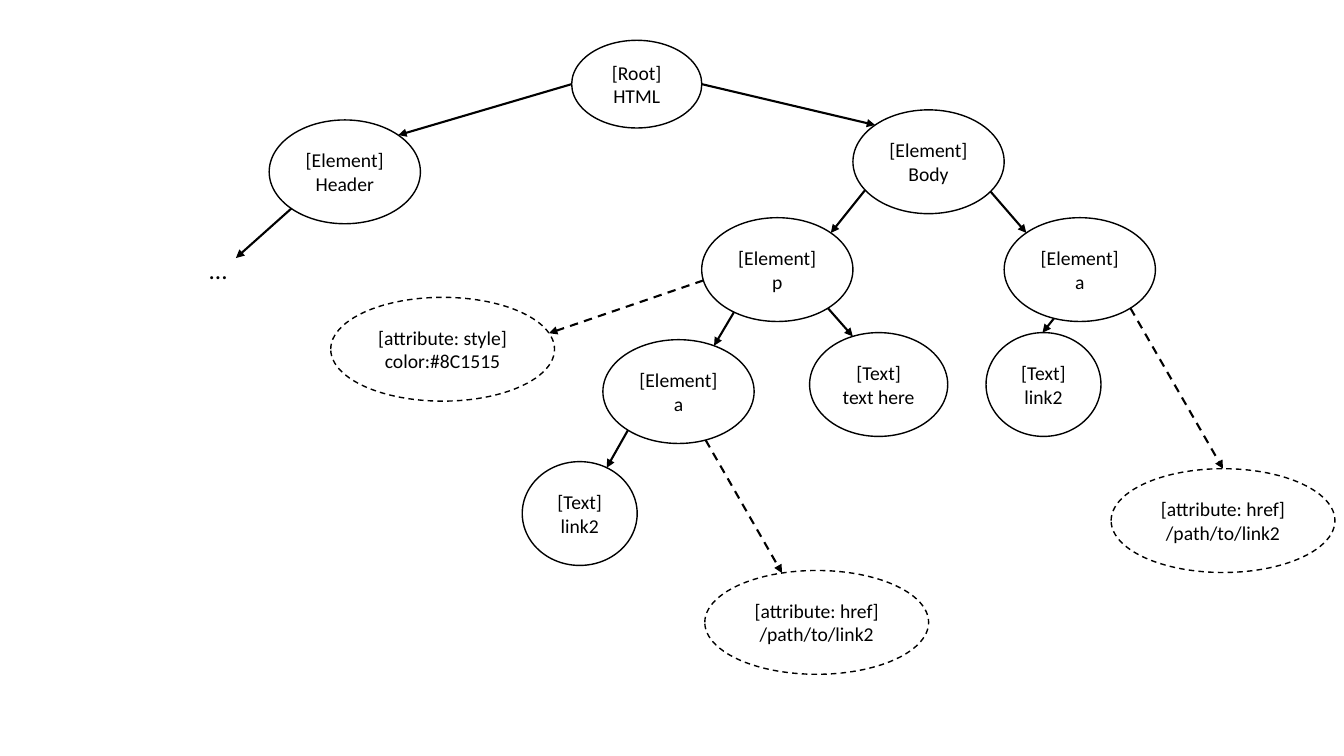
"""Draw the node tree of a small HTML document."""
from math import cos, radians, sin

from lxml import etree
from pptx import Presentation
from pptx import util as u
from pptx.dml.color import RGBColor
from pptx.enum import dml, shapes, text
from pptx.oxml import ns

COLUMNS, ROWS = 133.3, 75


def colour(code):
    return RGBColor.from_string(code)


class TreeSlide:
    ink, paper, font = "000000", "FFFFFF", "Calibri"

    def __init__(self, deck):
        self.slide = deck.slides.add_slide(deck.slide_layouts[6])
        self.column = deck.slide_width / COLUMNS
        self.row = deck.slide_height / ROWS

    def place(self, *cells):
        return [int(cell * (self.row if index % 2 else self.column))
                for index, cell in enumerate(cells)]

    def outline(self, line, points, dashed):
        line.color.rgb = colour(self.ink)
        line.width = u.Pt(points)
        if dashed:
            line.dash_style = dml.MSO_LINE.DASH

    def letter(self, frame, lines, size, align, **layout):
        for name, value in layout.items():
            setattr(frame, name, value)
        frame.text = "\n".join(lines)
        for paragraph in frame.paragraphs:
            paragraph.alignment = align
            for name, value in dict(size=u.Pt(size), name=self.font).items():
                setattr(paragraph.font, name, value)
            paragraph.font.color.rgb = colour(self.ink)

    def node(self, left, top, width, height, lines, dashed):
        oval = self.slide.shapes.add_shape(
            shapes.MSO_SHAPE.OVAL, *self.place(left, top, width, height))
        oval.shadow.inherit = False
        oval.fill.solid()
        oval.fill.fore_color.rgb = colour(self.paper)
        self.outline(oval.line, 1, dashed)
        self.letter(oval.text_frame, lines, 14, text.PP_ALIGN.CENTER,
                    word_wrap=True, vertical_anchor=text.MSO_ANCHOR.MIDDLE)

    def arrow(self, start, end, dashed=False):
        link = self.slide.shapes.add_connector(
            shapes.MSO_CONNECTOR.STRAIGHT, *self.place(*start, *end))
        self.outline(link.line, 1.5, dashed)
        properties = link.element.spPr
        etree.SubElement(properties.find(ns.qn("a:ln")), ns.qn("a:tailEnd"), type="triangle")
        etree.SubElement(properties, ns.qn("a:effectLst"))

    def label(self, left, top, width, height, words):
        box = self.slide.shapes.add_textbox(*self.place(left, top, width, height))
        self.letter(box.text_frame, [words], 18, text.PP_ALIGN.LEFT, word_wrap=False,
                    auto_size=text.MSO_AUTO_SIZE.SHAPE_TO_FIT_TEXT)


def rim(box, degrees):
    """Return the point of an oval's rim at an angle, clockwise from the right."""
    left, top, width, height = box
    angle = radians(degrees)
    return left + width / 2 * (1 + cos(angle)), top + height / 2 * (1 + sin(angle))


SIZES = {"root": (12.9, 8.7), "element": (15, 10.3), "text": (11.4, 10.3),
         "long text": (13.7, 10.3), "attribute": (22.2, 10.3)}

NODES = {
    "root": ("root", 56.7, 4, "[Root]", "HTML"),
    "header": ("element", 26.7, 11.9, "[Element]", "Header"),
    "body": ("element", 84.6, 10.9, "[Element]", "Body"),
    "p": ("element", 69.6, 21.6, "[Element]", "p"),
    "body a": ("element", 99.6, 21.6, "[Element]", "a"),
    "p text": ("long text", 80.3, 33, "[Text]", "text here"),
    "p a": ("element", 59.8, 33.7, "[Element]", "a"),
    "p a text": ("text", 51.8, 45.8, "[Text]", "link2"),
    "p a href": ("attribute", 69.9, 56.6, "[attribute: href]", "/path/to/link2"),
    "body a text": ("text", 97.8, 33, "[Text]", "link2"),
    "p style": ("attribute", 32.8, 29.5, "[attribute: style]", "color:#8C1515"),
    "body a href": ("attribute", 110.2, 46.5, "[attribute: href]", "/path/to/link2"),
}

BRANCHES = [
    ("p", 125, "p a", 298),
    ("p a", 132, "p a text", 298),
    ("p", 48, "p text", 248),
    ("body a", 110, "body a text", 269),
    ("body a", 48, "body a href", 270),
    ("p a", 69, "p a href", 252),
    ("p", 168, "p style", 342),
    ("body", 35, "body a", 225),
    ("body", 147, "p", 315),
    ("root", 0, "body", 225),
    ("root", 180, "header", 315),
]

deck = Presentation()
deck.slide_width, deck.slide_height = u.Inches(13.33), u.Inches(7.5)
tree = TreeSlide(deck)

boxes = {}
for name, (kind, left, top, *lines) in NODES.items():
    boxes[name] = (left, top, *SIZES[kind])
    tree.node(*boxes[name], lines, kind == "attribute")

for parent, leave, child, reach in BRANCHES:
    tree.arrow(rim(boxes[parent], leave), rim(boxes[child], reach),
               NODES[child][0] == "attribute")

tree.arrow(rim(boxes["header"], 135), (23.4, 25.6))
tree.label(19.7, 24.7, 3.9, 4, "...")

deck.save("out.pptx")
